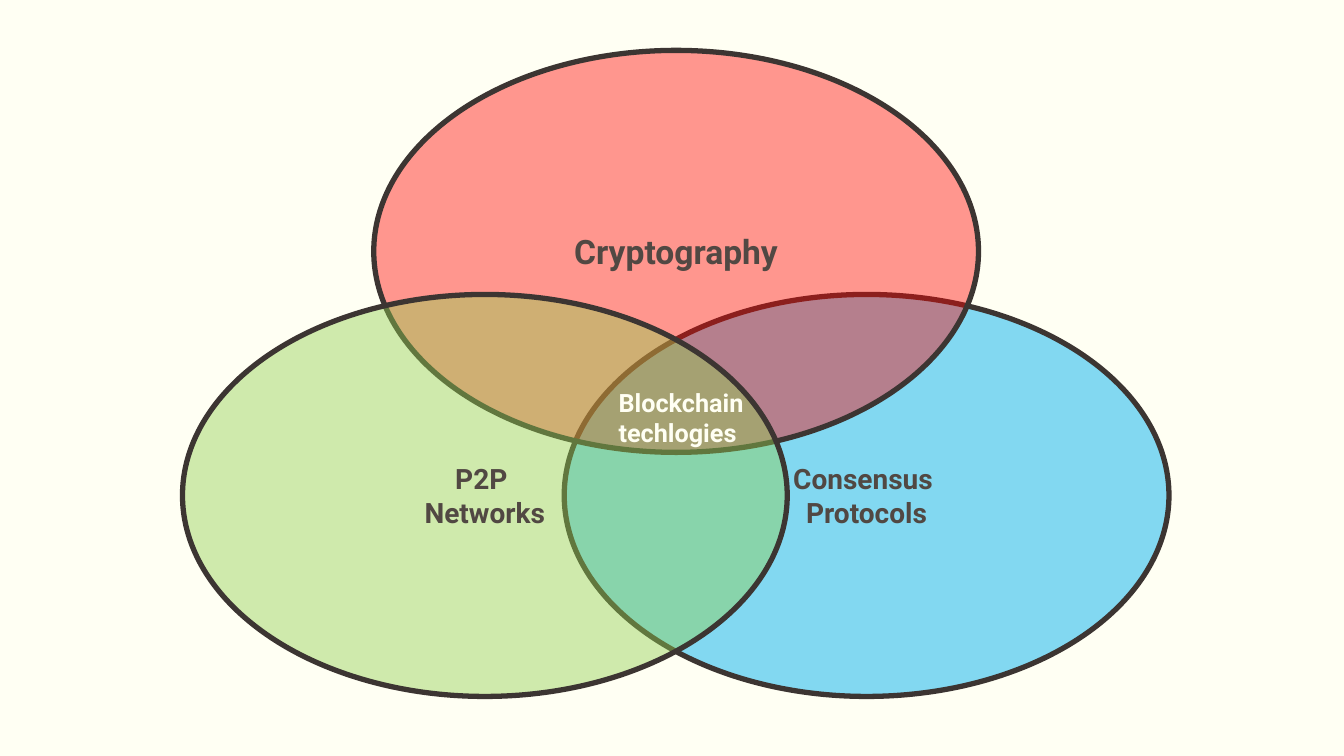
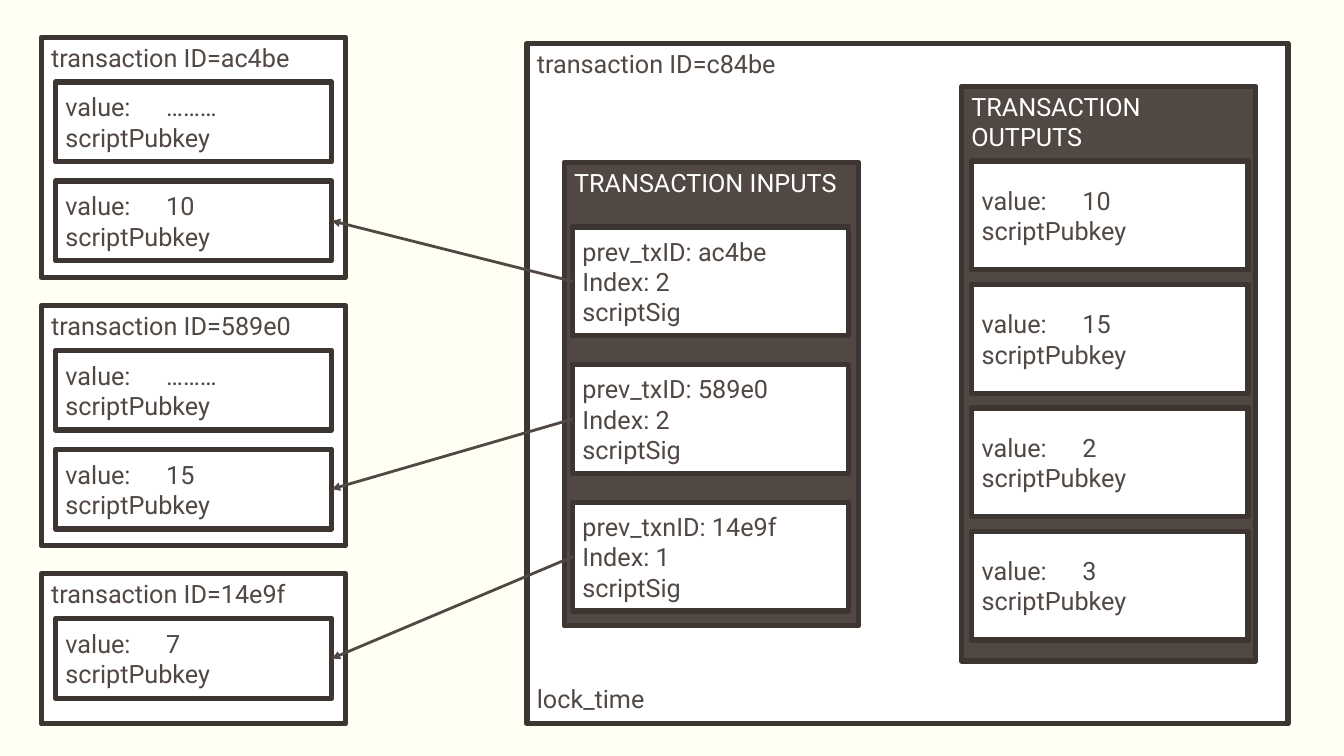
from dataclasses import dataclass

from lxml.etree import SubElement
from pptx import Presentation
from pptx.dml.color import RGBColor
from pptx.enum.shapes import MSO_CONNECTOR, MSO_SHAPE
from pptx.enum.text import MSO_ANCHOR, MSO_AUTO_SIZE, PP_ALIGN
from pptx.oxml.ns import qn
from pptx.presentation import Presentation as Deck
from pptx.shapes.autoshape import Shape
from pptx.slide import Slide
from pptx.text.text import TextFrame
from pptx.util import Cm, Pt


@dataclass(frozen=True)
class Theme:
    font: str = "Roboto"
    cream: RGBColor = RGBColor(0xFF, 0xFF, 0xF3)
    white: RGBColor = RGBColor(0xFF, 0xFF, 0xFF)
    brown: RGBColor = RGBColor(0x51, 0x48, 0x43)
    outline: RGBColor = RGBColor(0x3C, 0x35, 0x32)
    blue: RGBColor = RGBColor(0x00, 0xB0, 0xF0)
    red: RGBColor = RGBColor(0xFF, 0x00, 0x00)
    green: RGBColor = RGBColor(0x92, 0xD0, 0x50)
    body: Pt = Pt(18)
    label: Pt = Pt(20)
    headline: Pt = Pt(24)
    border: Pt = Pt(3.78)
    arrow: Pt = Pt(2)


THEME = Theme()


@dataclass(frozen=True)
class Box:
    """Left, top, width and height in centimetres."""
    left: float
    top: float
    width: float
    height: float

    def lengths(self) -> tuple[Cm, Cm, Cm, Cm]:
        return Cm(self.left), Cm(self.top), Cm(self.width), Cm(self.height)


@dataclass(frozen=True)
class Field:
    """One ellipse of the Venn diagram."""
    lines: tuple[str, ...]
    left: float
    top: float
    color: RGBColor
    opacity: int
    size: Pt


@dataclass(frozen=True)
class Panel:
    """A titled box holding a column of equally spaced records."""
    title: str
    box: Box
    inset: float
    first_top: float
    pitch: float
    record_height: float
    records: tuple[tuple[str, ...], ...]
    dark: bool = False


FIELD_WIDTH, FIELD_HEIGHT = 15.24, 10.13
FIELDS = (
    Field(("Consensus ", "Protocols"), 14.22, 7.42, THEME.blue, 49, THEME.label),
    Field(("Cryptography",), 9.42, 1.27, THEME.red, 41, THEME.headline),
    Field(("P2P ", "Networks"), 4.6, 7.42, THEME.green, 43, THEME.label),
)

RECORD_WIDTH = 6.96
PREVIOUS_TOP, PREVIOUS_GAP = 0.94, 0.71
PREVIOUS = (
    ("ac4be", ("………", "10"), 6.05),
    ("589e0", ("………", "15"), 6.05),
    ("14e9f", ("7",), 3.78),
)
TRANSACTION = Box(13.28, 1.09, 19.18, 17.15)


def output_record(value: str) -> tuple[str, ...]:
    return f"value:\t{value}", "scriptPubkey"


INPUTS = Panel(
    "TRANSACTION INPUTS", Box(14.22, 4.09, 7.42, 11.68), 0.21, 1.63, 3.47, 2.74,
    (("prev_txID: ac4be", "Index: 2", "scriptSig"),
     ("prev_txID: 589e0", "Index: 2", "scriptSig"),
     ("prev_txnID: 14e9f", "Index: 1", "scriptSig")),
    dark=True,
)
OUTPUTS = Panel(
    "TRANSACTION OUTPUTS", Box(24.23, 2.18, 7.42, 14.48), 0.26, 1.88, 3.11, 2.74,
    tuple(output_record(value) for value in ("10", "15", "2", "3")),
    dark=True,
)


def write(frame: TextFrame, lines: tuple[str, ...], color: RGBColor,
          size: Pt = THEME.body, bold: bool = False,
          align: PP_ALIGN = PP_ALIGN.LEFT) -> None:
    for number, line in enumerate(lines):
        paragraph = frame.paragraphs[0] if number == 0 else frame.add_paragraph()
        paragraph.text = line
        paragraph.alignment = align
        font = paragraph.font
        font.name, font.size, font.bold = THEME.font, size, bold
        font.color.rgb = color


def add_outlined(slide: Slide, kind: MSO_SHAPE, box: Box, fill: RGBColor,
                 anchor: MSO_ANCHOR = MSO_ANCHOR.MIDDLE) -> Shape:
    shape = slide.shapes.add_shape(kind, *box.lengths())
    shape.shadow.inherit = False
    shape.fill.solid()
    shape.fill.fore_color.rgb = fill
    shape.line.color.rgb = THEME.outline
    shape.line.width = THEME.border
    shape.text_frame.word_wrap = True
    shape.text_frame.vertical_anchor = anchor
    return shape


def add_field(slide: Slide, field: Field) -> None:
    box = Box(field.left, field.top, FIELD_WIDTH, FIELD_HEIGHT)
    ellipse = add_outlined(slide, MSO_SHAPE.OVAL, box, field.color)
    color = ellipse.fill._xPr.find(qn("a:solidFill"))[0]
    SubElement(color, qn("a:alpha")).set("val", str(field.opacity * 1000))
    write(ellipse.text_frame, field.lines, THEME.brown, field.size,
          bold=True, align=PP_ALIGN.CENTER)


def add_container(slide: Slide, title: str, box: Box, dark: bool = False) -> None:
    fill, ink = (THEME.brown, THEME.white) if dark else (THEME.white, THEME.brown)
    container = add_outlined(slide, MSO_SHAPE.RECTANGLE, box, fill, MSO_ANCHOR.TOP)
    write(container.text_frame, (title,), ink)


def add_panel(slide: Slide, panel: Panel) -> list[Shape]:
    """Draw the panel and return its records from top to bottom."""
    add_container(slide, panel.title, panel.box, panel.dark)
    records = []
    for row, lines in enumerate(panel.records):
        box = Box(panel.box.left + panel.inset,
                  panel.box.top + panel.first_top + row * panel.pitch,
                  RECORD_WIDTH, panel.record_height)
        record = add_outlined(slide, MSO_SHAPE.RECTANGLE, box, THEME.white)
        write(record.text_frame, lines, THEME.brown)
        records.append(record)
    return records


def add_reference(slide: Slide, spending: Shape, spent: Shape) -> None:
    """Point an arrow from an input to the output it spends."""
    arrow = slide.shapes.add_connector(MSO_CONNECTOR.STRAIGHT, 0, 0, 0, 0)
    arrow.begin_connect(spending, 1)
    arrow.end_connect(spent, 3)
    arrow.line.color.rgb = THEME.brown
    arrow.line.width = THEME.arrow
    SubElement(arrow.line._get_or_add_ln(), qn("a:tailEnd")).set("type", "triangle")
    SubElement(arrow._element.spPr, qn("a:effectLst"))


def add_slide(deck: Deck) -> Slide:
    return deck.slides.add_slide(deck.slide_layouts.get_by_name("Blank"))


def build_venn(deck: Deck) -> None:
    slide = add_slide(deck)
    for field in FIELDS:
        add_field(slide, field)
    overlap = slide.shapes.add_textbox(*Box(15.34, 9.63, 3.89, 1.8).lengths())
    overlap.text_frame.word_wrap = False
    overlap.text_frame.auto_size = MSO_AUTO_SIZE.SHAPE_TO_FIT_TEXT
    write(overlap.text_frame, ("Blockchain", "techlogies"), THEME.cream, bold=True)


def build_transactions(deck: Deck) -> None:
    slide = add_slide(deck)
    spent = []
    top = PREVIOUS_TOP
    for tx_id, values, height in PREVIOUS:
        panel = Panel(f"transaction ID={tx_id}", Box(1.04, top, 7.67, height),
                      0.36, 1.13, 2.49, 2.01,
                      tuple(output_record(value) for value in values))
        spent.append(add_panel(slide, panel)[-1])
        top += height + PREVIOUS_GAP

    add_container(slide, "transaction ID=c84be", TRANSACTION)
    lock_time = slide.shapes.add_textbox(
        *Box(TRANSACTION.left, 17.1, 6, 1.02).lengths())
    lock_time.text_frame.word_wrap = True
    lock_time.text_frame.vertical_anchor = MSO_ANCHOR.MIDDLE
    write(lock_time.text_frame, ("lock_time",), THEME.brown)

    inputs = add_panel(slide, INPUTS)
    add_panel(slide, OUTPUTS)
    for spending, output in zip(inputs, spent):
        add_reference(slide, spending, output)


def main() -> None:
    deck = Presentation()
    deck.slide_width, deck.slide_height = Cm(33.87), Cm(19.05)
    background = deck.slide_master.background.fill
    background.solid()
    background.fore_color.rgb = THEME.cream
    build_venn(deck)
    build_transactions(deck)
    deck.save("out.pptx")


if __name__ == "__main__":
    main()
